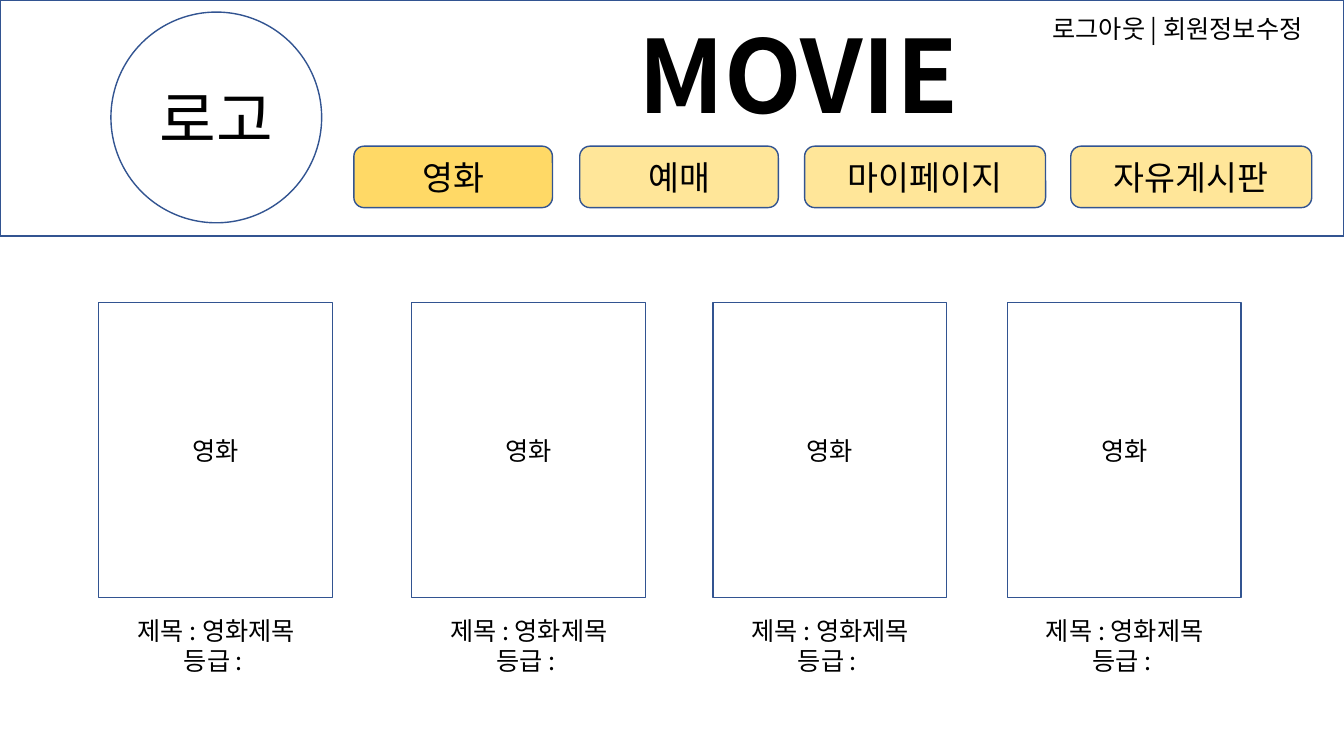
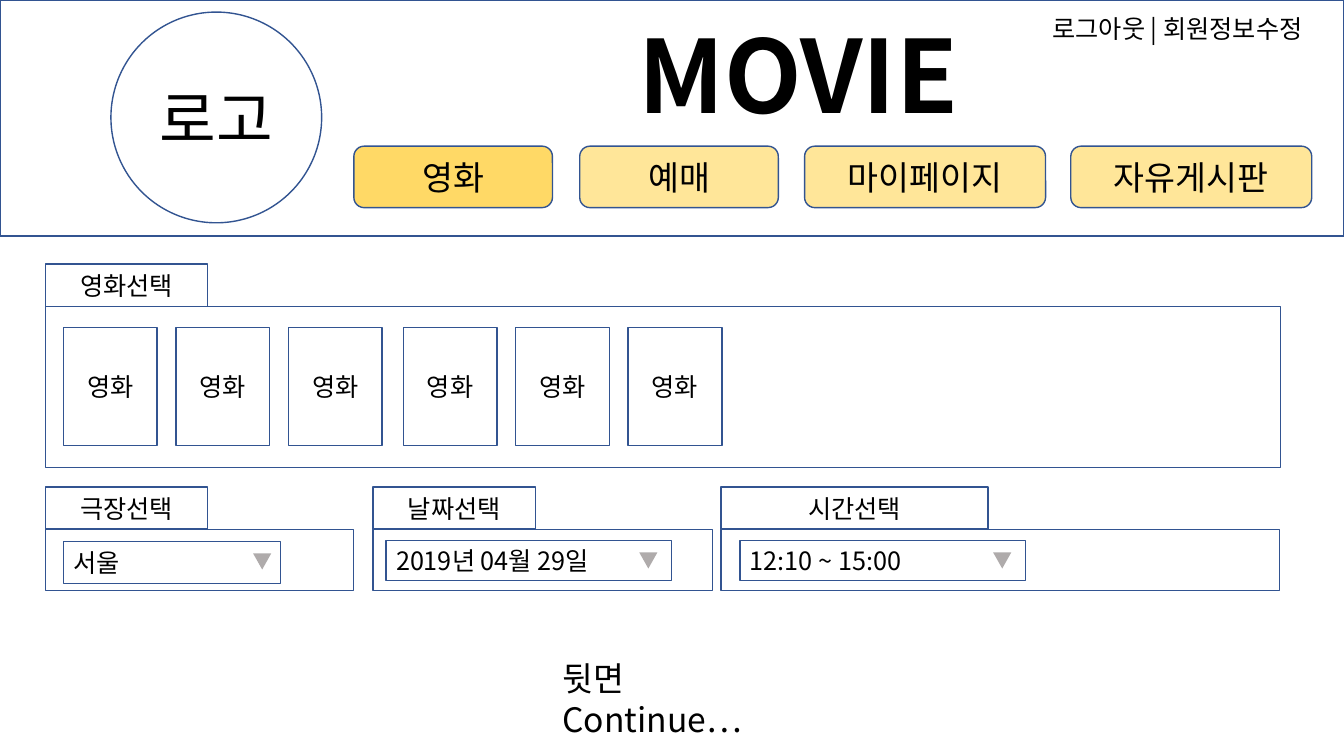
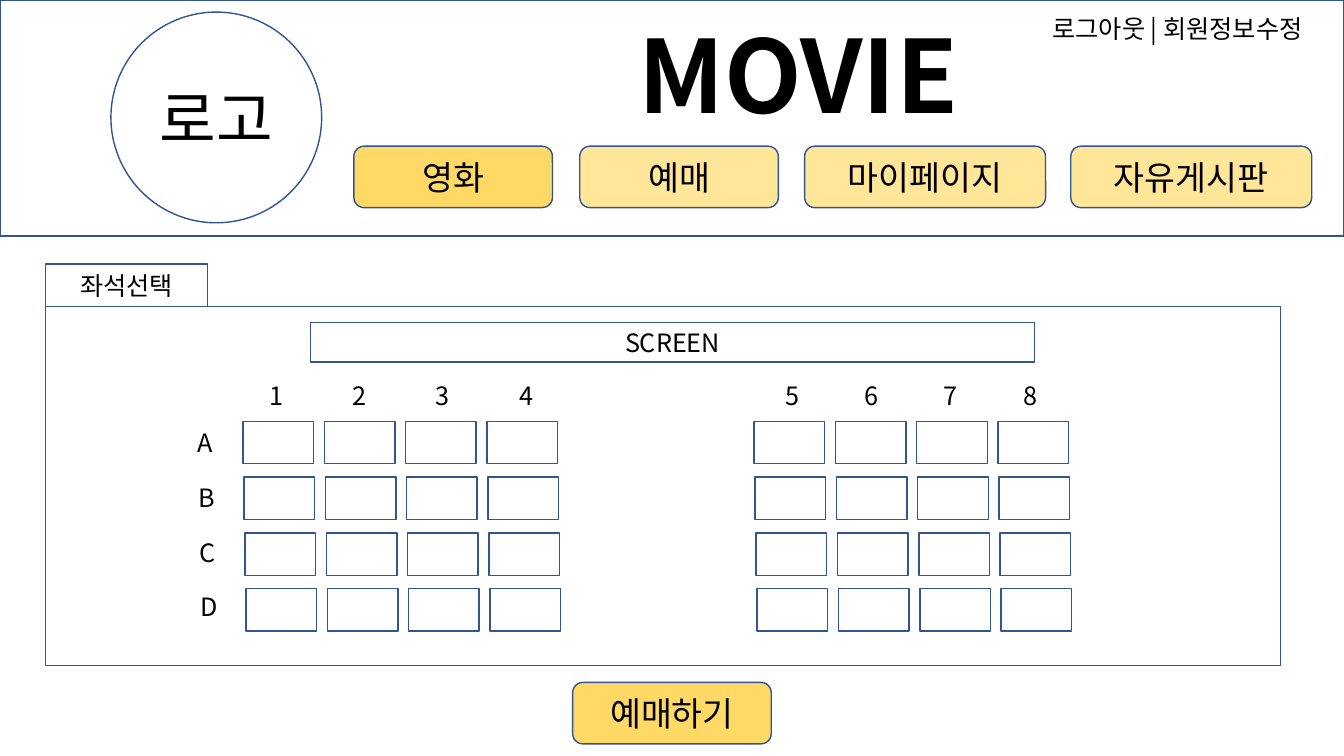
"""Builds three wireframe slides of a cinema booking site."""
from dataclasses import dataclass
from typing import Optional

from lxml import etree
from pptx import Presentation
from pptx.dml.color import RGBColor
from pptx.enum.shapes import MSO_SHAPE
from pptx.enum.text import MSO_ANCHOR, MSO_AUTO_SIZE, PP_ALIGN
from pptx.oxml.ns import qn
from pptx.shapes.autoshape import Shape
from pptx.slide import Slide
from pptx.text.text import TextFrame
from pptx.util import Inches, Pt

RECT = MSO_SHAPE.RECTANGLE
ROUND = MSO_SHAPE.ROUNDED_RECTANGLE
OVAL = MSO_SHAPE.OVAL
ARROW = MSO_SHAPE.ISOSCELES_TRIANGLE
LEFT, CENTER = PP_ALIGN.LEFT, PP_ALIGN.CENTER
MIDDLE = MSO_ANCHOR.MIDDLE
GROW = MSO_AUTO_SIZE.SHAPE_TO_FIT_TEXT

BLUE = RGBColor(0x32, 0x54, 0x91)
GOLD = RGBColor(0xFF, 0xD9, 0x66)
CREAM = RGBColor(0xFF, 0xE6, 0x99)
GRAY = RGBColor(0xAF, 0xAB, 0xAB)
BLACK = RGBColor(0, 0, 0)
FONT = "Noto Sans CJK KR"


@dataclass
class Box:
    left: float
    top: float
    width: float
    height: float


@dataclass
class Button:
    label: str
    left: float
    width: float
    fill: RGBColor = CREAM


@dataclass
class Picker:
    title: str
    value: str
    left: float
    width: float
    tab: float
    field: Box
    arrow: float


MENU = [
    Button("영화", 3.51, 1.97, GOLD),
    Button("예매", 5.75, 1.97),
    Button("마이페이지", 7.98, 2.39),
    Button("자유게시판", 10.62, 2.39),
]
PICKERS = [
    Picker("극장선택", "서울", 0.45, 3.06, 1.61, Box(0.63, 5.37, 2.15, 0.42), 2.51),
    Picker("날짜선택", "2019년 04월 29일", 3.7, 3.37, 1.61, Box(3.83, 5.36, 2.83, 0.4), 6.34),
    Picker("시간선택", "12:10 ~ 15:00", 7.15, 5.54, 2.65, Box(7.34, 5.36, 2.83, 0.4), 9.85),
]


def style(frame: TextFrame, text: str, size: int, align: PP_ALIGN, bold: bool = False) -> None:
    """Write text and format every run."""
    frame.text = text
    for para in frame.paragraphs:
        para.alignment = align
        for run in para.runs:
            font = run.font
            font.name, font.size, font.bold = FONT, Pt(size), bold
            font.color.rgb = BLACK
            east = etree.SubElement(run._r.get_or_add_rPr(), qn("a:ea"))
            east.set("typeface", FONT)


def draw(slide: Slide, box: Box, text: str = "", size: int = 18, kind: MSO_SHAPE = RECT,
         fill: Optional[RGBColor] = None, align: PP_ALIGN = CENTER) -> Shape:
    """Draw an outlined shape with optional fill and text."""
    shape = slide.shapes.add_shape(kind, Inches(box.left), Inches(box.top),
                                   Inches(box.width), Inches(box.height))
    shape.shadow.inherit = False
    if fill is None:
        shape.fill.background()
    else:
        shape.fill.solid()
        shape.fill.fore_color.rgb = fill
    shape.line.color.rgb = BLUE
    shape.line.width = Pt(1)
    if text:
        shape.text_frame.vertical_anchor = MIDDLE
        style(shape.text_frame, text, size, align)
    return shape


def write(slide: Slide, box: Box, text: str, size: int = 18, align: PP_ALIGN = LEFT,
          bold: bool = False, wrap: bool = False) -> None:
    """Add a text box."""
    frame = slide.shapes.add_textbox(Inches(box.left), Inches(box.top),
                                     Inches(box.width), Inches(box.height)).text_frame
    frame.word_wrap = wrap
    frame.auto_size = GROW
    style(frame, text, size, align, bold)


def press(slide: Slide, button: Button, top: float) -> None:
    """Draw a rounded button."""
    draw(slide, Box(button.left, top, button.width, 0.61), button.label, 24, ROUND, button.fill)


def panel(slide: Slide, title: str, box: Box, tab: float = 1.61) -> None:
    """Draw a panel with its title tab on top."""
    draw(slide, box)
    draw(slide, Box(box.left, box.top - 0.42, tab, 0.42), title)


def header(slide: Slide) -> None:
    """Draw the band that all slides share."""
    draw(slide, Box(0, 0, 13.33, 2.34))
    write(slide, Box(6.23, 0.08, 3.49, 0.94), "MOVIE", 72, bold=True)
    draw(slide, Box(1.1, 0.12, 2.09, 2.09), "로고", 44, OVAL)
    for button in MENU:
        press(slide, button, 1.45)
    write(slide, Box(10.34, 0.08, 2.96, 0.4), "로그아웃 | 회원정보수정")


def films(slide: Slide) -> None:
    """Draw the film list."""
    for left in (0.98, 4.08, 7.07, 9.99):
        draw(slide, Box(left, 3, 2.32, 2.93), "영화")
        write(slide, Box(left + 0.19, 6.05, 1.95, 0.71), "제목 : 영화제목\n등급 : ", align=CENTER)


def booking(slide: Slide) -> None:
    """Draw the choice of film, cinema, date and time."""
    panel(slide, "영화선택", Box(0.45, 3.04, 12.25, 1.6))
    for start in (0.63, 4):
        for col in range(3):
            draw(slide, Box(start + col * 2.23 / 2, 3.25, 0.93, 1.17), "영화")
    for item in PICKERS:
        panel(slide, item.title, Box(item.left, 5.25, item.width, 0.61), item.tab)
        draw(slide, item.field, item.value, align=LEFT)
        mark = draw(slide, Box(item.arrow, item.field.top + 0.12, 0.18, 0.16),
                    kind=ARROW, fill=GRAY)
        mark.line.fill.background()
        mark.rotation = 180
    write(slide, Box(5.48, 6.48, 2.62, 0.5), "뒷면 Continue…", 24, wrap=True)


def seats(slide: Slide) -> None:
    """Draw the seat plan."""
    panel(slide, "좌석선택", Box(0.45, 3.04, 12.25, 3.56))
    draw(slide, Box(3.08, 3.2, 7.18, 0.39), "SCREEN")
    for row, name in enumerate("ABCD"):
        shift = row * 0.01
        top = 4.18 + row * 1.66 / 3
        write(slide, Box(1.86 + shift, 4.19 + row * 1.63 / 3, 0.37, 0.4), name)
        for start in (2.41, 7.48):
            for col in range(4):
                draw(slide, Box(start + shift + col * 2.42 / 3, top, 0.7, 0.42))
    for first, start, span in ((1, 2.57, 2.48), (5, 7.69, 2.36)):
        for col in range(4):
            write(slide, Box(start + col * span / 3, 3.72, 0.34, 0.4), str(first + col))
    press(slide, Button("예매하기", 5.68, 1.97, GOLD), 6.77)


def main() -> None:
    """Build and save the deck."""
    deck = Presentation()
    deck.slide_width, deck.slide_height = Inches(13.33), Inches(7.5)
    for body in (films, booking, seats):
        slide = deck.slides.add_slide(deck.slide_layouts[6])
        header(slide)
        body(slide)
    deck.save("out.pptx")


if __name__ == "__main__":
    main()
